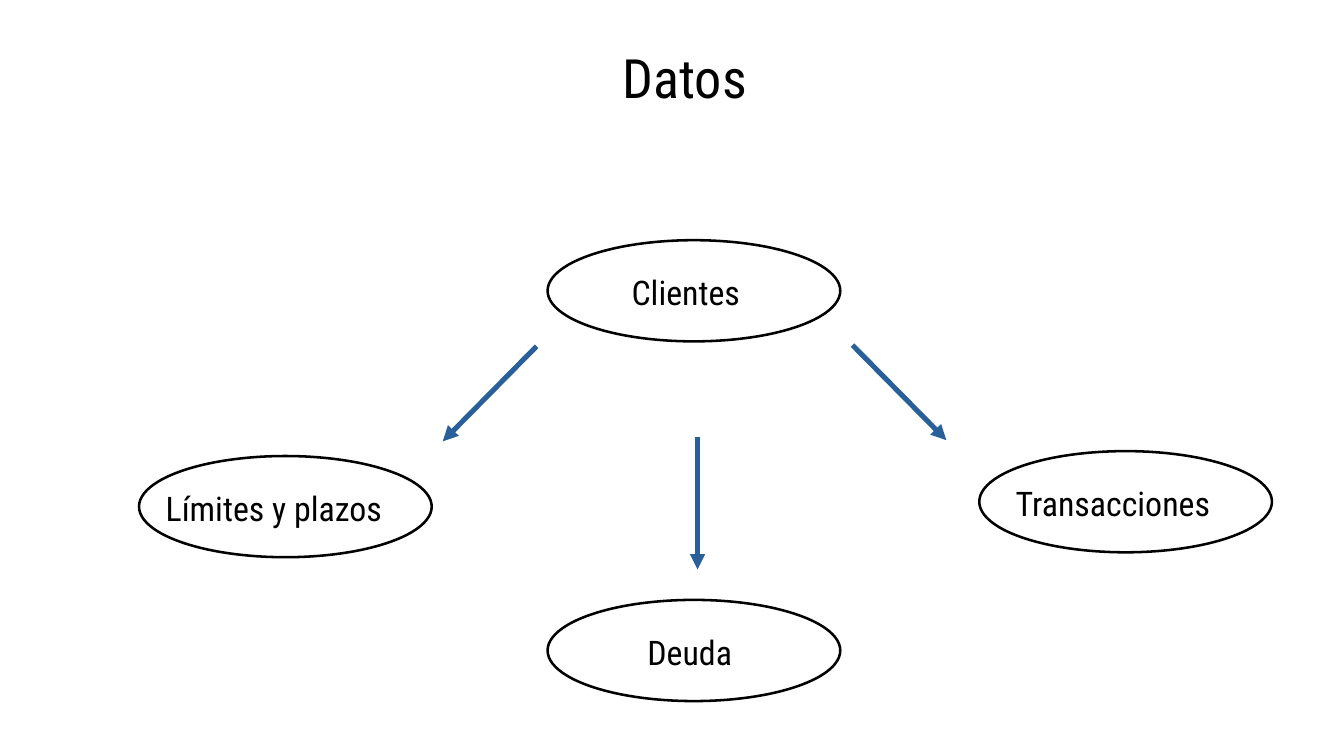
from dataclasses import dataclass

from lxml import etree
from pptx import Presentation
from pptx.dml.color import RGBColor
from pptx.enum.shapes import MSO_CONNECTOR, MSO_SHAPE
from pptx.enum.text import MSO_ANCHOR, PP_ALIGN
from pptx.oxml.ns import qn
from pptx.shapes.shapetree import GroupShapes, SlideShapes
from pptx.util import Inches, Pt

BLACK = RGBColor(0x00, 0x00, 0x00)
BLUE = RGBColor(0x2A, 0x60, 0x99)
FONT = "Roboto Condensed"
ELLIPSE = MSO_SHAPE.OVAL
STRAIGHT = MSO_CONNECTOR.STRAIGHT
LEFT, CENTER = PP_ALIGN.LEFT, PP_ALIGN.CENTER
TOP, MIDDLE = MSO_ANCHOR.TOP, MSO_ANCHOR.MIDDLE

ENTITY_WIDTH, ENTITY_HEIGHT = 2.4, 0.83
LABEL_DROP, LABEL_HEIGHT = 0.21, 0.42


@dataclass(frozen=True)
class Entity:
    label: str
    left: float
    top: float
    label_left: float
    label_width: float


@dataclass(frozen=True)
class Relation:
    start: tuple[float, float]
    end: tuple[float, float]


ENTITIES = [
    Entity("Límites y plazos", 1.14, 3.74, 1.26, 2.29),
    Entity("Deuda", 4.49, 4.92, 5.21, 1.01),
    Entity("Clientes", 4.49, 1.97, 5.08, 1.21),
    Entity("Transacciones", 8.03, 3.7, 8.23, 2.03),
]
RELATIONS = [
    Relation((4.4, 2.84), (3.63, 3.62)),
    Relation((6.99, 2.83), (7.76, 3.61)),
    Relation((5.72, 3.58), (5.72, 4.67)),
]


def add_text(shapes: SlideShapes | GroupShapes, text: str, *, left: float,
             top: float, width: float, height: float, size: int = 20,
             align: PP_ALIGN = LEFT, anchor: MSO_ANCHOR = TOP,
             margins: tuple[float, float] = (0.1, 0.05)) -> None:
    box = shapes.add_textbox(Inches(left), Inches(top), Inches(width), Inches(height))
    frame = box.text_frame
    frame.word_wrap = True
    frame.vertical_anchor = anchor
    frame.margin_left = frame.margin_right = Inches(margins[0])
    frame.margin_top = frame.margin_bottom = Inches(margins[1])
    paragraph = frame.paragraphs[0]
    paragraph.alignment = align
    run = paragraph.add_run()
    run.text = text
    run.font.name = FONT
    run.font.size = Pt(size)
    run.font.color.rgb = BLACK


def add_entity(shapes: SlideShapes, entity: Entity) -> None:
    members = shapes.add_group_shape().shapes
    add_text(members, entity.label, left=entity.label_left,
             top=entity.top + LABEL_DROP, width=entity.label_width,
             height=LABEL_HEIGHT)
    outline = members.add_shape(ELLIPSE, Inches(entity.left), Inches(entity.top),
                                Inches(ENTITY_WIDTH), Inches(ENTITY_HEIGHT))
    outline.shadow.inherit = False
    outline.fill.background()
    outline.line.color.rgb = BLACK
    outline.line.width = Pt(1.5)


def add_relation(shapes: SlideShapes, relation: Relation) -> None:
    ends = [Inches(value) for value in relation.start + relation.end]
    arrow = shapes.add_connector(STRAIGHT, *ends)
    arrow.line.color.rgb = BLUE
    arrow.line.width = Pt(3)
    # Arrowhead, and no inherited shadow
    properties = arrow.element.spPr
    etree.SubElement(properties.find(qn("a:ln")), qn("a:tailEnd"), type="triangle")
    etree.SubElement(properties, qn("a:effectLst"))


def main() -> None:
    presentation = Presentation()
    presentation.slide_width = Inches(11.02)
    presentation.slide_height = Inches(6.2)
    shapes = presentation.slides.add_slide(presentation.slide_layouts[6]).shapes

    # Heading
    add_text(shapes, "Datos", left=0.79, top=0.37, width=9.65, height=0.52,
             size=32, align=CENTER, anchor=MIDDLE, margins=(0, 0))

    # Data entities and the arrows between them
    for entity in ENTITIES:
        add_entity(shapes, entity)
    for relation in RELATIONS:
        add_relation(shapes, relation)

    presentation.save("out.pptx")


if __name__ == "__main__":
    main()
